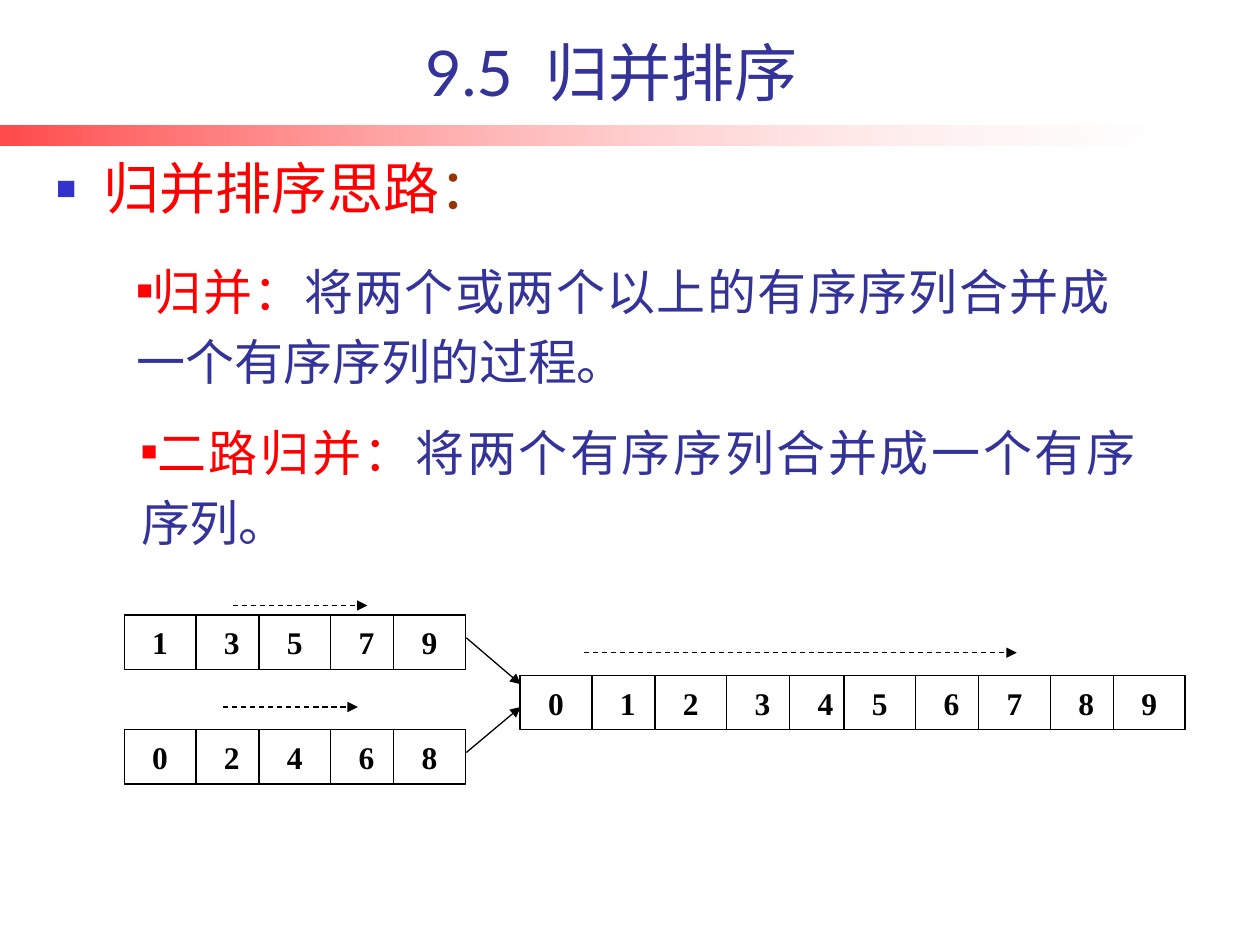
from lxml.etree import SubElement
from pptx import Presentation
from pptx.dml.color import RGBColor
from pptx.enum.dml import MSO_LINE
from pptx.enum.shapes import MSO_CONNECTOR, MSO_SHAPE
from pptx.enum.text import MSO_ANCHOR as Anchor, MSO_AUTO_SIZE as AutoSize, PP_ALIGN as Align
from pptx.oxml.ns import qn
from pptx.util import Pt

COLORS = {
    "navy": "333399", "red": "FF0000", "brown": "993300",
    "bullet": "3333CC", "black": "000000", "white": "FFFFFF",
}
LATIN, CHINESE, SERIF = "Lato", "Noto Sans CJK SC", "Times New Roman"
CELL_WIDTH, CELL_HEIGHT = 41, 31
CELL_OFFSETS = (0, 41, 77, 118, 154)


def color(name):
    """Return the named palette colour."""
    return RGBColor.from_string(COLORS[name])


def write_text(frame, *phrases, size, align=Align.CENTER, bold=False, line_spacing=None, space_before=0):
    """Fill a frame with one paragraph of (text, colour, font) phrases and return it."""
    frame.word_wrap = True
    paragraph = frame.paragraphs[0]
    paragraph.alignment = align
    paragraph.space_before = Pt(space_before)
    if line_spacing:
        paragraph.line_spacing = line_spacing
    for text, shade, typeface in phrases:
        run = paragraph.add_run()
        run.text = text
        run.font.size, run.font.bold, run.font.name = Pt(size), bold, typeface
        run.font.color.rgb = color(shade)
        SubElement(run.font._element, qn("a:ea"), typeface=CHINESE)
    return paragraph


def add_bullet(paragraph, shade, percent, margin, indent):
    """Give a paragraph a square bullet and a hanging indent."""
    properties = paragraph._p.get_or_add_pPr()
    properties.set("marL", str(Pt(margin)))
    properties.set("indent", str(Pt(indent)))
    bullet_color = SubElement(properties, qn("a:buClr"))
    SubElement(bullet_color, qn("a:srgbClr"), val=COLORS[shade])
    SubElement(properties, qn("a:buSzPct"), val=str(percent * 1000))
    SubElement(properties, qn("a:buFont"), typeface=SERIF)
    SubElement(properties, qn("a:buChar"), char="■")


def add_title(slide):
    """Place and format the slide title."""
    title = slide.shapes.title
    title.left, title.top, title.width, title.height = Pt(42.5), Pt(15), Pt(613.5), Pt(51)
    title.text_frame.auto_size = AutoSize.NONE
    title.text_frame.vertical_anchor = Anchor.BOTTOM
    write_text(title.text_frame, ("9.5  归并排序", "navy", LATIN), size=36)


def add_band(slide):
    """Draw the fading red band under the title."""
    band = slide.shapes.add_shape(MSO_SHAPE.RECTANGLE, 0, Pt(71.5), Pt(669), Pt(11.5))
    band.shadow.inherit = False
    band.line.fill.background()
    band.fill.gradient()
    band.fill.gradient_angle = 0
    for stop, shade in zip(band.fill.gradient_stops, ("red", "white")):
        stop.color.rgb = color(shade)
    for stop_color, opacity in zip(band.element.spPr.iter(qn("a:srgbClr")), (71, 18)):
        SubElement(stop_color, qn("a:alpha"), val=str(opacity * 1000))


def add_heading(slide):
    """Add the main bullet point."""
    heading = slide.shapes.add_textbox(Pt(25), Pt(88.5), Pt(611.5), Pt(39.5))
    paragraph = write_text(
        heading.text_frame, ("归并排序思路", "red", CHINESE), ("：", "brown", LATIN),
        size=32, align=Align.JUSTIFY, line_spacing=0.9, space_before=6.4)
    add_bullet(paragraph, "bullet", 60, 27, -27)


def add_definition(slide, left, top, width, term, meaning):
    """Add a term in red followed by its meaning."""
    definition = slide.shapes.add_textbox(Pt(left), Pt(top), Pt(width), Pt(88.5))
    definition.text_frame.auto_size = AutoSize.SHAPE_TO_FIT_TEXT
    paragraph = write_text(
        definition.text_frame, (term, "red", CHINESE), (meaning, "navy", CHINESE),
        size=28, align=Align.JUSTIFY, line_spacing=1.2, space_before=5.6)
    paragraph.level = 1
    add_bullet(paragraph, "red", 55, 0, -22.5)


def add_cells(diagram, left, top, digits):
    """Draw five neighbouring cells of a sorted sequence."""
    for offset, digit in zip(CELL_OFFSETS, digits):
        cell = diagram.shapes.add_shape(
            MSO_SHAPE.RECTANGLE, Pt(left + offset), Pt(top), Pt(CELL_WIDTH), Pt(CELL_HEIGHT))
        cell.shadow.inherit = False
        cell.fill.solid()
        cell.fill.fore_color.rgb = color("white")
        cell.line.color.rgb = color("black")
        cell.line.width = Pt(0.75)
        cell.text_frame.vertical_anchor = Anchor.MIDDLE
        write_text(cell.text_frame, (digit, "black", SERIF), size=18, bold=True)


def add_arrow(diagram, start, end, dashed=False):
    """Draw an arrow between two points."""
    arrow = diagram.shapes.add_connector(MSO_CONNECTOR.STRAIGHT, *map(Pt, start + end))
    arrow.line.color.rgb = color("black")
    arrow.line.width = Pt(0.75)
    if dashed:
        arrow.line.dash_style = MSO_LINE.DASH
    SubElement(arrow.line._get_or_add_ln(), qn("a:tailEnd"), type="triangle")
    SubElement(arrow.element.spPr, qn("a:effectLst"))


def add_merge_diagram(slide):
    """Show two sorted sequences merging into one."""
    diagram = slide.shapes.add_group_shape()
    for left, top, digits in (
            (71, 351.5, "13579"), (71, 417, "02468"),
            (297.25, 386, "01234"), (482.25, 386, "56789")):
        add_cells(diagram, left, top, digits)
    add_arrow(diagram, (266.5, 364.5), (297.5, 391))
    add_arrow(diagram, (266.5, 430), (297.5, 404))
    for left, right, height in ((133, 210, 346), (127.5, 204.5, 404), (333.5, 581, 373)):
        add_arrow(diagram, (left, height), (right, height), dashed=True)


def main():
    """Build and save the merge sort slide."""
    deck = Presentation()
    deck.slide_width, deck.slide_height = Pt(720), Pt(540)
    slide = deck.slides.add_slide(deck.slide_layouts[5])
    add_band(slide)
    add_title(slide)
    add_heading(slide)
    add_merge_diagram(slide)
    add_definition(slide, 73.5, 231, 582.5, "二路归并：", "将两个有序序列合并成一个有序序列。")
    add_definition(slide, 71, 139, 570, "归并：", "将两个或两个以上的有序序列合并成一个有序序列的过程。")
    deck.save("out.pptx")


if __name__ == "__main__":
    main()
